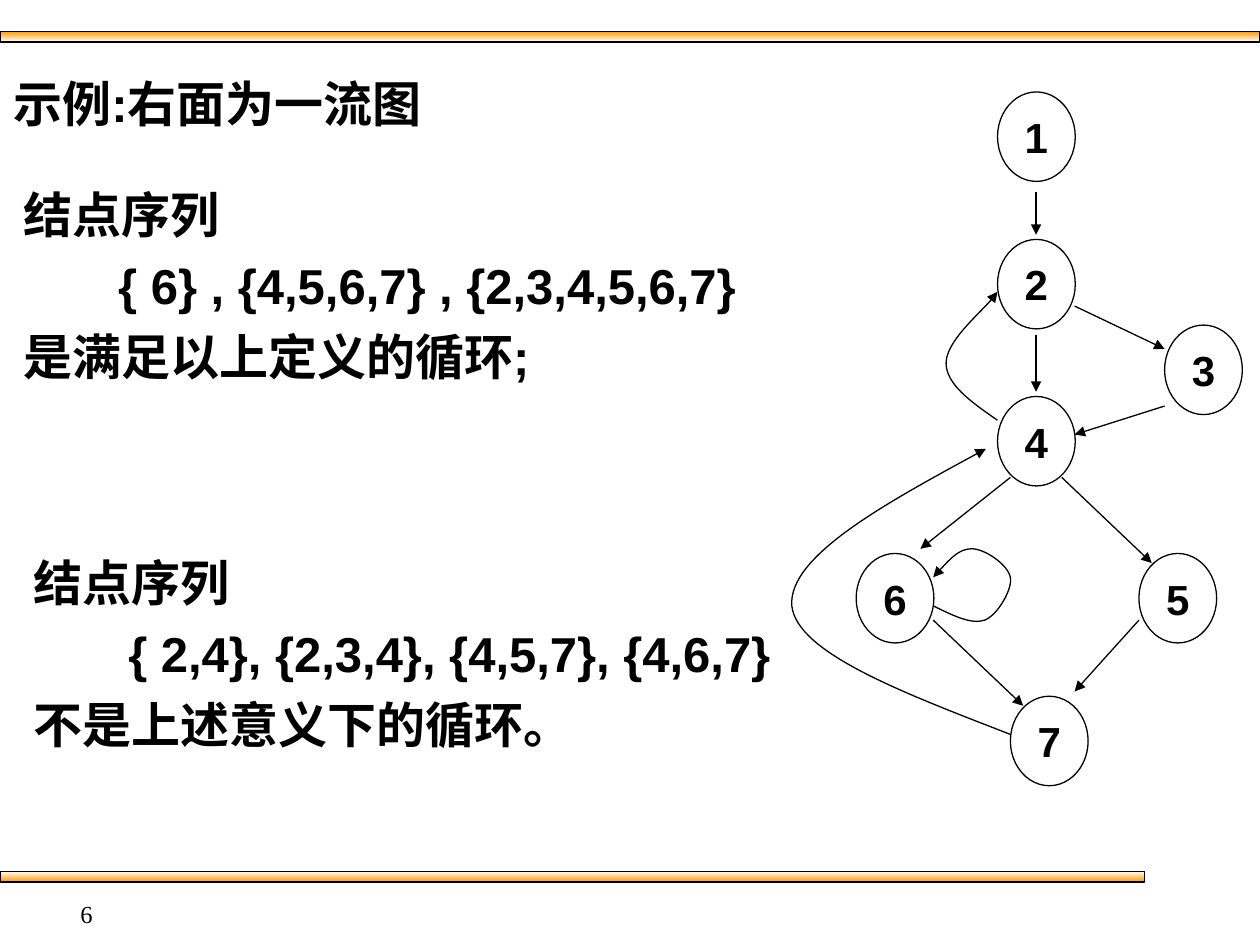
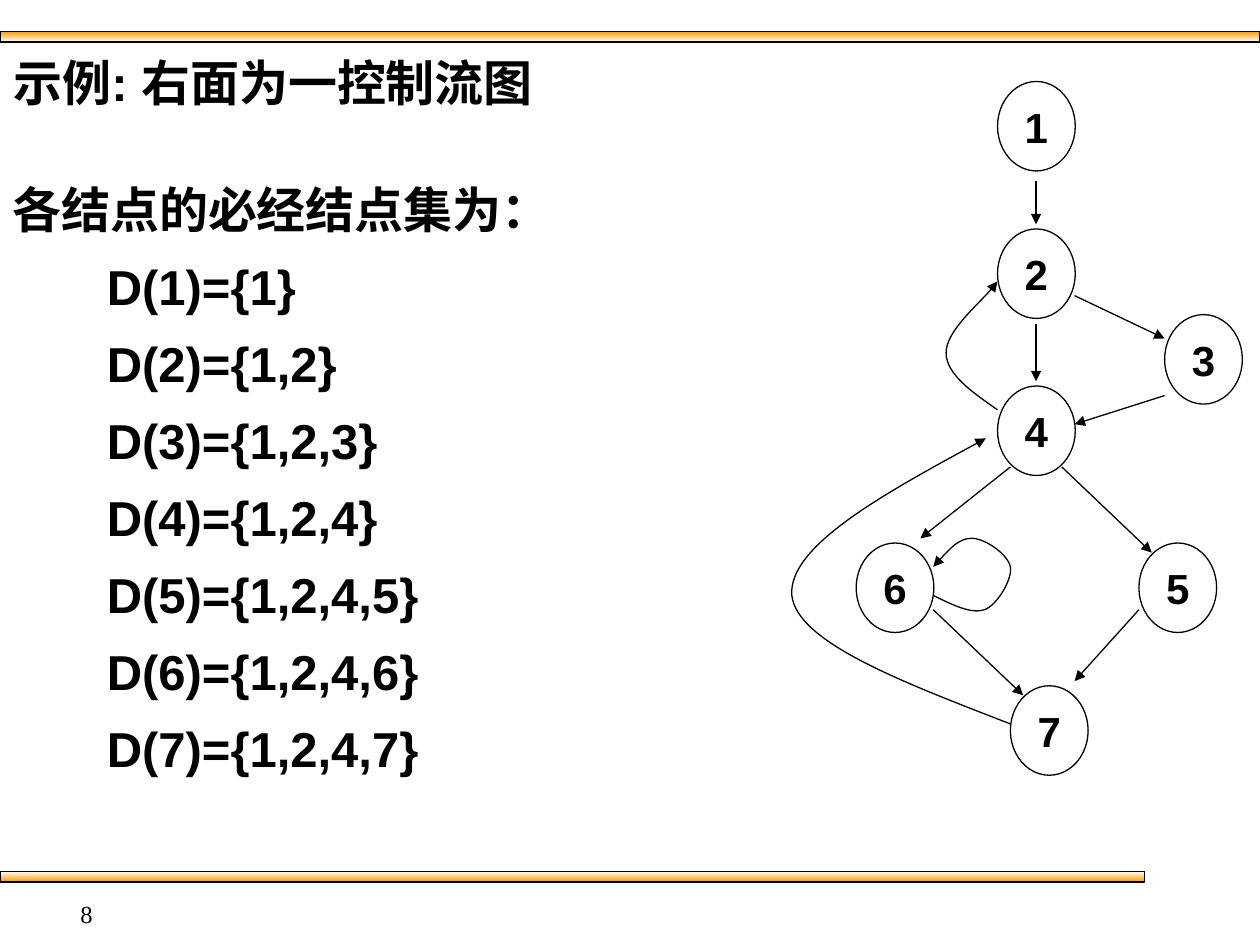
from lxml import etree
from pptx import Presentation
from pptx.dml.color import RGBColor
from pptx.enum.shapes import MSO_CONNECTOR, MSO_SHAPE
from pptx.enum.text import MSO_ANCHOR, PP_ALIGN
from pptx.oxml.ns import qn
from pptx.util import Emu, Inches, Pt

OVAL, BAR = MSO_SHAPE.OVAL, MSO_SHAPE.RECTANGLE
STRAIGHT = MSO_CONNECTOR.STRAIGHT
LEFT, CENTER, RIGHT = PP_ALIGN.LEFT, PP_ALIGN.CENTER, PP_ALIGN.RIGHT
MIDDLE = MSO_ANCHOR.MIDDLE

BLACK, WHITE, ORANGE = "000000", "FFFFFF", "FF9900"
HEADING_FONT, NUMBER_FONT = "Arial", "Times New Roman"
CELL = Inches(0.1)  # slide grid: 100 columns by 75 rows
SET_INDENT = Inches(0.75)

# Flow graph grid: node 6 starts at column 0, node 1 at row 0
GRAPH_COL, GRAPH_ROW = Inches(0.102), Inches(0.1133)
NODE_COLS, NODE_ROWS = 6.05, 6.27
NODES = {"1": (11, 0), "2": (11, 10.33), "4": (11, 21.33), "3": (24, 16.33),
         "6": (0, 32.33), "5": (22, 32.33), "7": (12, 42.33)}
EDGES = [((14, 7), (14, 10)), ((14, 17), (14, 21)),
         ((17, 15), (24, 18)), ((24, 22), (17, 24)),
         ((12, 27), (5, 32)), ((16, 27), (23, 33)),
         ((6, 37), (13, 43)), ((22, 37), (17, 42))]
# Each back edge: start, then control, control, end for every bend
BACK_EDGES = [
    [(11, 23), (9, 21.75), (7, 20.5), (7, 19),
     (7, 17.5), (10.4, 14.9), (11, 14)],
    [(6, 36), (7.5, 36.67), (9, 37.33), (10, 37),
     (11, 36.67), (12.2, 34.8), (12, 34),
     (11.8, 33.1), (10, 32), (9, 32),
     (8, 32), (7, 33), (6, 34)],
    [(12, 45), (3.7, 42.1), (-4.6, 39.3), (-5, 36),
     (-5.3, 32.6), (2.3, 28.8), (10.1, 25)],
]


def rgb(hex_color):
    return RGBColor.from_string(hex_color)


def on_grid(*cells):
    return [Emu(round(n * CELL)) for n in cells]


def outline(shape):
    shape.line.color.rgb = rgb(BLACK)
    shape.line.width = Pt(0.75)


def add_arrowhead(shape):
    line = shape._element.spPr.find(qn("a:ln"))
    etree.SubElement(line, qn("a:tailEnd"), type="triangle")


def add_run(paragraph, text, size, font=HEADING_FONT, bold=True):
    run = paragraph.add_run()
    run.text = text
    run.font.size = Pt(size)
    run.font.name = font
    run.font.bold = bold
    run.font.color.rgb = rgb(BLACK)


def add_text(slide, box, lines, indented=(), spacing=1.0, size=28,
             align=LEFT, **run_style):
    """Write one paragraph per line; indented holds the indexes to push in."""
    frame = slide.shapes.add_textbox(*on_grid(*box)).text_frame
    frame.word_wrap = True
    for index, line in enumerate(lines):
        paragraph = frame.add_paragraph() if index else frame.paragraphs[0]
        paragraph.alignment = align
        paragraph.line_spacing = spacing
        if index:
            paragraph.space_before = Pt(7)
        if index in indented:
            paragraph._p.get_or_add_pPr().set("marL", str(SET_INDENT))
        add_run(paragraph, line, size, **run_style)


def add_band(slide, row, columns, top_color, bottom_color):
    band = slide.shapes.add_shape(BAR, *on_grid(0, row, columns, 0.84))
    band.shadow.inherit = False
    band.fill.gradient()
    band.fill.gradient_angle = 270
    for stop, position, color in zip(band.fill.gradient_stops, (0, 1),
                                     (top_color, bottom_color)):
        stop.position = position
        stop.color.rgb = rgb(color)
    outline(band)


def bend_lines(freeform):
    """Turn every three line segments into one cubic curve."""
    segments = list(freeform._element.iter(qn("a:lnTo")))
    for first in range(0, len(segments), 3):
        curve = etree.Element(qn("a:cubicBezTo"))
        segments[first].addprevious(curve)
        for segment in segments[first:first + 3]:
            curve.append(segment[0])
            segment.getparent().remove(segment)


def add_flow_graph(slide, left, top):
    """Draw the graph with its grid origin at the given slide cell."""
    origin_x, origin_y = on_grid(left, top)

    def place(point):
        return (Emu(round(origin_x + point[0] * GRAPH_COL)),
                Emu(round(origin_y + point[1] * GRAPH_ROW)))

    node_size = round(NODE_COLS * GRAPH_COL), round(NODE_ROWS * GRAPH_ROW)
    for label, corner in NODES.items():
        node = slide.shapes.add_shape(OVAL, *place(corner), *node_size)
        node.shadow.inherit = False
        node.fill.solid()
        node.fill.fore_color.rgb = rgb(WHITE)
        outline(node)
        node.text_frame.vertical_anchor = MIDDLE
        paragraph = node.text_frame.paragraphs[0]
        paragraph.alignment = CENTER
        add_run(paragraph, label, 24)

    for start, end in EDGES:
        edge = slide.shapes.add_connector(STRAIGHT, *place(start), *place(end))
        outline(edge)
        add_arrowhead(edge)
        etree.SubElement(edge._element.spPr, qn("a:effectLst"))

    for start, *bends in BACK_EDGES:
        builder = slide.shapes.build_freeform(*place(start))
        builder.add_line_segments([place(point) for point in bends],
                                  close=False)
        back_edge = builder.convert_to_shape()
        bend_lines(back_edge)
        back_edge.shadow.inherit = False
        back_edge.fill.background()
        outline(back_edge)
        add_arrowhead(back_edge)


def add_example_slide(deck, number, graph_top):
    """Add a slide with the shared bands, number and flow graph."""
    slide = deck.slides.add_slide(deck.slide_layouts[6])
    add_band(slide, 2.5, 100, ORANGE, WHITE)
    add_band(slide, 69.16, 90.85, WHITE, ORANGE)
    add_flow_graph(slide, 67.95, graph_top)
    add_text(slide, (0, 70.85, 8.33, 2.5), [number], size=14, align=RIGHT,
             font=NUMBER_FONT, bold=False)
    return slide


def build_loops_slide(deck):
    slide = add_example_slide(deck, "6", 7.3)
    add_text(slide, (0.1, 3, 38, 8), ["示例:右面为一流图"], spacing=1.5)
    add_text(slide, (0.9, 14.15, 60, 17),
             ["结点序列", "{ 6} , {4,5,6,7} , {2,3,4,5,6,7}",
              "是满足以上定义的循环;"], indented=(1,))
    add_text(slide, (1.7, 43.35, 62, 17),
             ["结点序列", "{ 2,4}, {2,3,4}, {4,5,7}, {4,6,7}",
              "不是上述意义下的循环。"], indented=(1,))


def build_dominators_slide(deck):
    slide = add_example_slide(deck, "8", 6.47)
    add_text(slide, (0.1, 3.65, 46, 5.7), ["示例: 右面为一控制流图"])
    dominators = ["1", "1,2", "1,2,3", "1,2,4", "1,2,4,5", "1,2,4,6", "1,2,4,7"]
    sets = [f"D({node})={{{members}}}"
            for node, members in enumerate(dominators, start=1)]
    add_text(slide, (0, 13.3, 53.3, 55.8), ["各结点的必经结点集为：", *sets],
             indented=range(1, len(sets) + 1), spacing=1.1)


def main():
    deck = Presentation()
    deck.slide_width, deck.slide_height = on_grid(100, 75)
    build_loops_slide(deck)
    build_dominators_slide(deck)
    deck.save("out.pptx")


if __name__ == "__main__":
    main()
